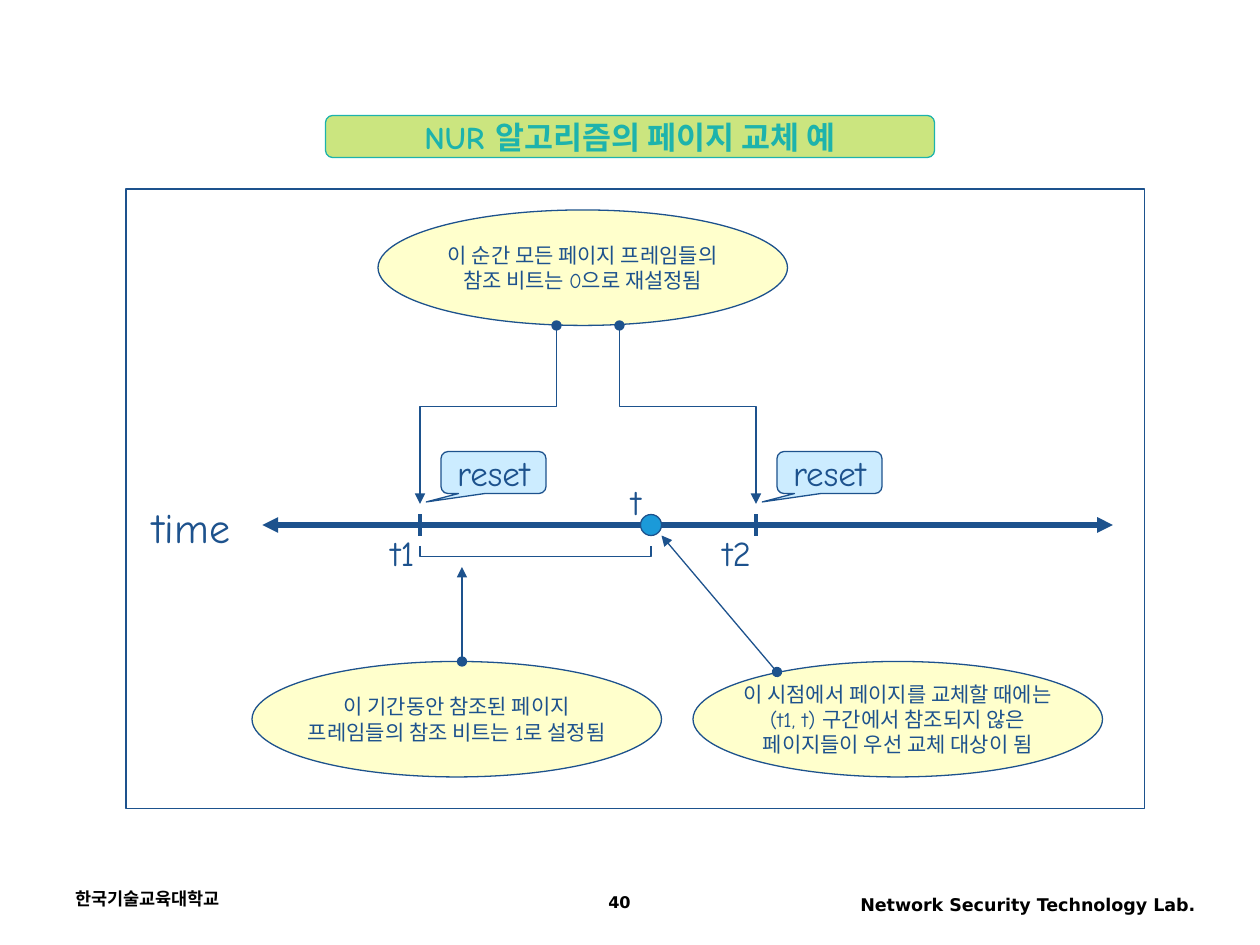
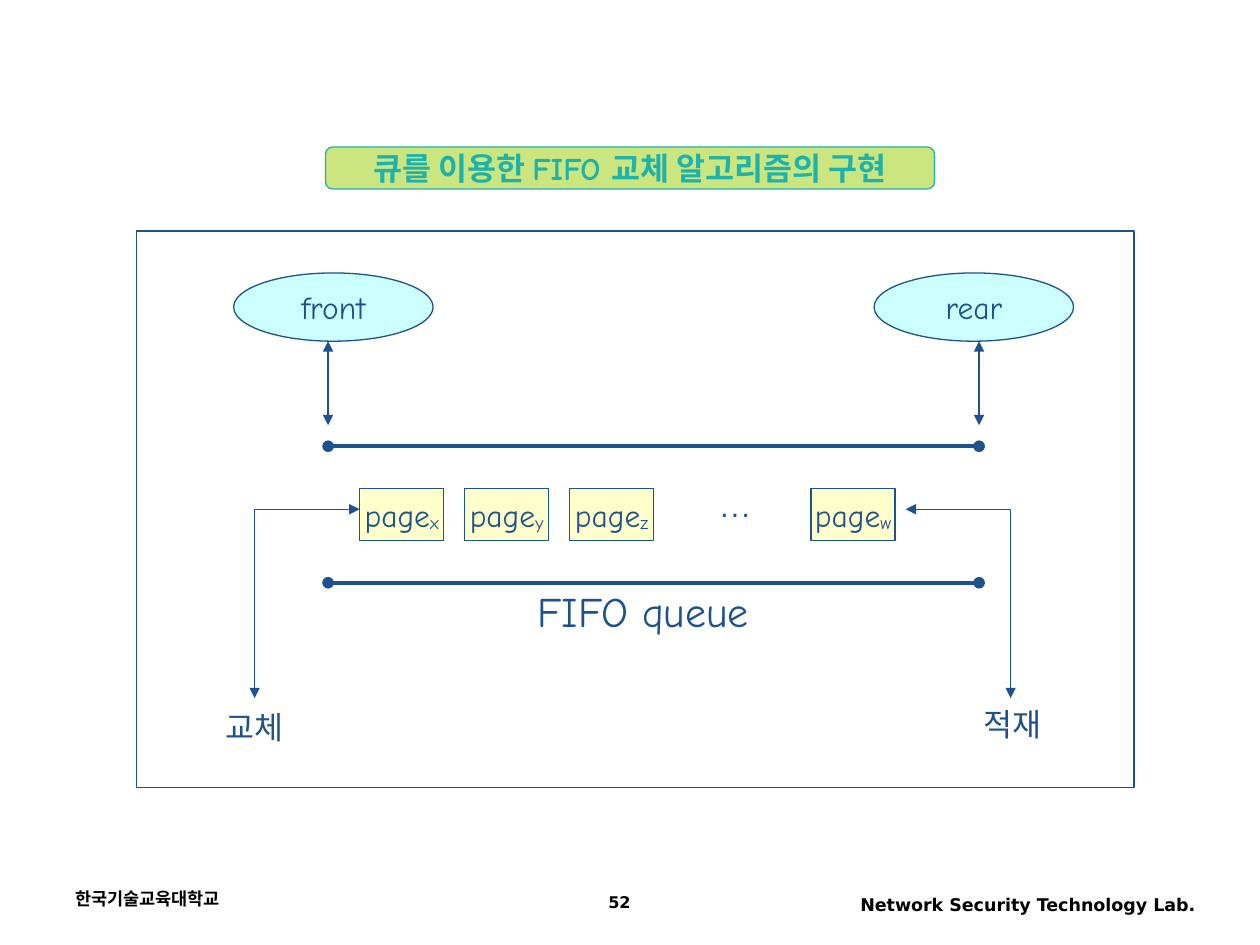
"""Build two slides on page replacement: the NUR timeline and the FIFO queue."""
from lxml import etree
from pptx import Presentation
from pptx.dml.color import RGBColor
from pptx.enum import shapes, text
from pptx.oxml import ns
from pptx.util import Pt

NAVY = RGBColor(0x1D, 0x52, 0x8D)
TEAL = RGBColor(0x1D, 0xB3, 0xAC)
LIME = RGBColor(0x99, 0xCC, 0x00)
CREAM = RGBColor(0xFF, 0xFF, 0xCC)
AQUA = RGBColor(0xCC, 0xFF, 0xFF)
SKY = RGBColor(0xCC, 0xEC, 0xFF)
BLUE = RGBColor(0x1B, 0x9A, 0xD9)
WHITE = RGBColor(0xFF, 0xFF, 0xFF)
BLACK = RGBColor(0, 0, 0)
HAND_FONT = "Comic Neue"
FOOTER_FONT = "DejaVu Sans"
KIND = shapes.MSO_SHAPE
ALIGN = text.PP_ALIGN


def points(*lengths):
    """Turn numbers into lengths in points."""
    return [Pt(length) for length in lengths]


def style_paragraph(para, size, color=NAVY, font=HAND_FONT, bold=False, align=ALIGN.CENTER):
    """Set the font and alignment of one paragraph."""
    para.alignment = align
    para.font.name = font
    para.font.size = Pt(size)
    para.font.bold = bold
    para.font.color.rgb = color


def write_lines(box, lines, size, **style):
    """Write centred, unwrapped lines into a shape, one paragraph each."""
    frame = box.text_frame
    frame.word_wrap = False
    frame.vertical_anchor = text.MSO_ANCHOR.MIDDLE
    frame.text = "\n".join(lines)
    for para in frame.paragraphs:
        style_paragraph(para, size, **style)


def style_line(item, width=0.75, color=NAVY, head=None, tail=None):
    """Set the line of a shape or connector, with optional end marks."""
    item.line.color.rgb = color
    item.line.width = Pt(width)
    outline = item.line._get_or_add_ln()
    for tag, mark in (("a:headEnd", head), ("a:tailEnd", tail)):
        if mark:
            etree.SubElement(outline, ns.qn(tag)).set("type", mark)


def add_box(page, kind, place, fill, lines=(), size=12):
    """Add an outlined preset shape with optional text."""
    box = page.shapes.add_shape(kind, *points(*place))
    box.shadow.inherit = False
    box.fill.solid()
    box.fill.fore_color.rgb = fill
    style_line(box)
    if lines:
        write_lines(box, lines, size)
    return box


def add_label(page, place, words, size):
    """Add a text box that fits its own words."""
    label = page.shapes.add_textbox(*points(*place))
    write_lines(label, [words], size)
    label.text_frame.vertical_anchor = text.MSO_ANCHOR.TOP
    label.text_frame.auto_size = text.MSO_AUTO_SIZE.SHAPE_TO_FIT_TEXT
    return label


def add_line(page, start, end, **style):
    """Add a straight connector between two points."""
    line = page.shapes.add_connector(shapes.MSO_CONNECTOR.STRAIGHT, *points(*start, *end))
    style_line(line, **style)
    etree.SubElement(line._element.spPr, ns.qn("a:effectLst"))


def add_bent_line(page, corners, **style):
    """Add an open, unfilled outline through the given corners."""
    builder = page.shapes.build_freeform(*points(*corners[0]))
    builder.add_line_segments([points(*corner) for corner in corners[1:]], close=False)
    outline = builder.convert_to_shape()
    outline.shadow.inherit = False
    outline.fill.background()
    style_line(outline, **style)


def add_title(page, words, top):
    """Put the title placeholder on a half-transparent green banner."""
    place = (186, top, 348, 24)
    banner = add_box(page, KIND.FLOWCHART_ALTERNATE_PROCESS, place, LIME)
    style_line(banner, color=TEAL)
    color = banner._element.spPr.find(".//" + ns.qn("a:srgbClr"))
    etree.SubElement(color, ns.qn("a:alpha")).set("val", "50000")
    title = page.shapes.title
    title.left, title.top, title.width, title.height = points(*place)
    write_lines(title, [words], 18, color=TEAL, bold=True)
    title.text_frame.auto_size = text.MSO_AUTO_SIZE.NONE
    page.shapes._spTree.append(title._element)


def add_footer(page, number):
    """Add the school, page number and laboratory along the bottom."""
    for place, words, size, align, spacing in (
        ((36, 504, 168, 24), "한국기술교육대학교", 10, ALIGN.LEFT, 1.0),
        ((462, 507.5, 228, 23), "Network Security Technology Lab.", 10, ALIGN.RIGHT, 1.0),
        ((270, 507.5, 168, 20), str(number), 9.2, ALIGN.CENTER, 0.9),
    ):
        box = page.shapes.add_textbox(*points(*place))
        box.text_frame.word_wrap = True
        para = box.text_frame.paragraphs[0]
        para.text = words
        para.line_spacing = spacing
        style_paragraph(para, size, BLACK, FOOTER_FONT, True, align)


def start_page(deck, title, title_top, number, frame):
    """Add a slide with its footer, banner title and outlined frame."""
    page = deck.slides.add_slide(deck.slide_layouts[5])
    add_footer(page, number)
    add_title(page, title, title_top)
    add_box(page, KIND.RECTANGLE, frame, WHITE)
    return page


def add_queue_page(page, left, letter):
    """Add one queued page with its subscript letter."""
    box = add_box(page, KIND.RECTANGLE, (left, 279, 48, 30), CREAM, ["page"], 18)
    span = box.text_frame.paragraphs[0].add_run()
    span.text = letter
    span.font._element.set("baseline", "-8000")


def build_nur_page(deck):
    """Draw the NUR timeline with its resets and remarks."""
    page = start_page(deck, "NUR 알고리즘의 페이지 교체 예", 66, 40, (72, 108, 582, 354))
    axis, first_reset, second_reset, now = 300, 240, 432, 372
    for left, top, lines in (
        (396, 378, ["이 시점에서 페이지를 교체할 때에는", "(t1, t) 구간에서 참조되지 않은", "페이지들이 우선 교체 대상이 됨"]),
        (216, 120, ["이 순간 모든 페이지 프레임들의", "참조 비트는 0으로 재설정됨"]),
        (144, 378, ["이 기간동안 참조된 페이지", "프레임들의 참조 비트는 1로 설정됨"]),
    ):
        add_box(page, KIND.OVAL, (left, top, 234, 66), CREAM, lines)

    add_line(page, (150, axis), (636, axis), width=3, head="triangle", tail="triangle")
    for moment, origin in ((first_reset, 318), (second_reset, 354)):
        add_line(page, (moment, axis - 6), (moment, axis + 6), width=2.25)
        corners = [(origin, 186), (origin, 232.5), (moment, 232.5), (moment, 288)]
        add_bent_line(page, corners, head="oval", tail="triangle")
        callout = add_box(page, KIND.ROUNDED_RECTANGULAR_CALLOUT,
                          (moment + 12, 258, 60, 24), SKY, ["reset"], 20)
        callout.adjustments[0] = -0.64
        callout.adjustments[1] = 0.7
    add_box(page, KIND.FLOWCHART_CONNECTOR, (now - 6, axis - 6, 12, 12), BLUE)
    add_bent_line(page, [(first_reset, 312), (first_reset, 318), (now, 318), (now, 312)])
    add_line(page, (264, 378), (264, 324), head="oval", tail="triangle")
    add_line(page, (444, 384), (378, 306), head="oval", tail="triangle")

    add_label(page, (77.5, 283, 64, 36), "time", 24)
    add_label(page, (212, axis, 36, 32), "t1", 20)
    add_label(page, (403, axis, 36, 32), "t2", 20)
    add_label(page, (351.5, 271, 24, 32), "t", 20)


def build_fifo_page(deck):
    """Draw the FIFO queue with its two ends."""
    page = start_page(deck, "큐를 이용한 FIFO 교체 알고리즘의 구현", 84, 52, (78, 132, 570, 318))
    front, rear = 187.5, 559.5
    for rail in (255, 333):
        add_line(page, (front, rail), (rear, rail), width=2.25, head="oval", tail="oval")
    for left, end, words in ((133.5, front, "front"), (499.5, rear, "rear")):
        add_box(page, KIND.OVAL, (left, 156, 114, 39), AQUA, [words], 18)
        add_line(page, (end, 195), (end, 243), head="triangle", tail="triangle")
    add_label(page, (297.5, 331, 140, 36), "FIFO queue", 24)

    first_page = 205.5
    for index, letter in enumerate("xyz"):
        add_queue_page(page, first_page + 60 * index, letter)
    add_queue_page(page, 463.5, "w")
    dots = add_label(page, (403.5, 268, 34, 36), "…", 24)
    dots.fill.solid()
    dots.fill.fore_color.rgb = WHITE

    for inner, outer in ((first_page, 145.5), (517.5, 577.5)):
        corners = [(inner, 291), (outer, 291), (outer, 399)]
        add_bent_line(page, corners, head="triangle", tail="triangle")
    add_label(page, (119.5, 401, 51.5, 29), "교체", 18)
    add_label(page, (553, 399.5, 51.5, 29), "적재", 18)


def main():
    """Build and save the deck."""
    deck = Presentation()
    deck.slide_width, deck.slide_height = points(720, 540)
    build_nur_page(deck)
    build_fifo_page(deck)
    deck.save("out.pptx")


if __name__ == "__main__":
    main()
